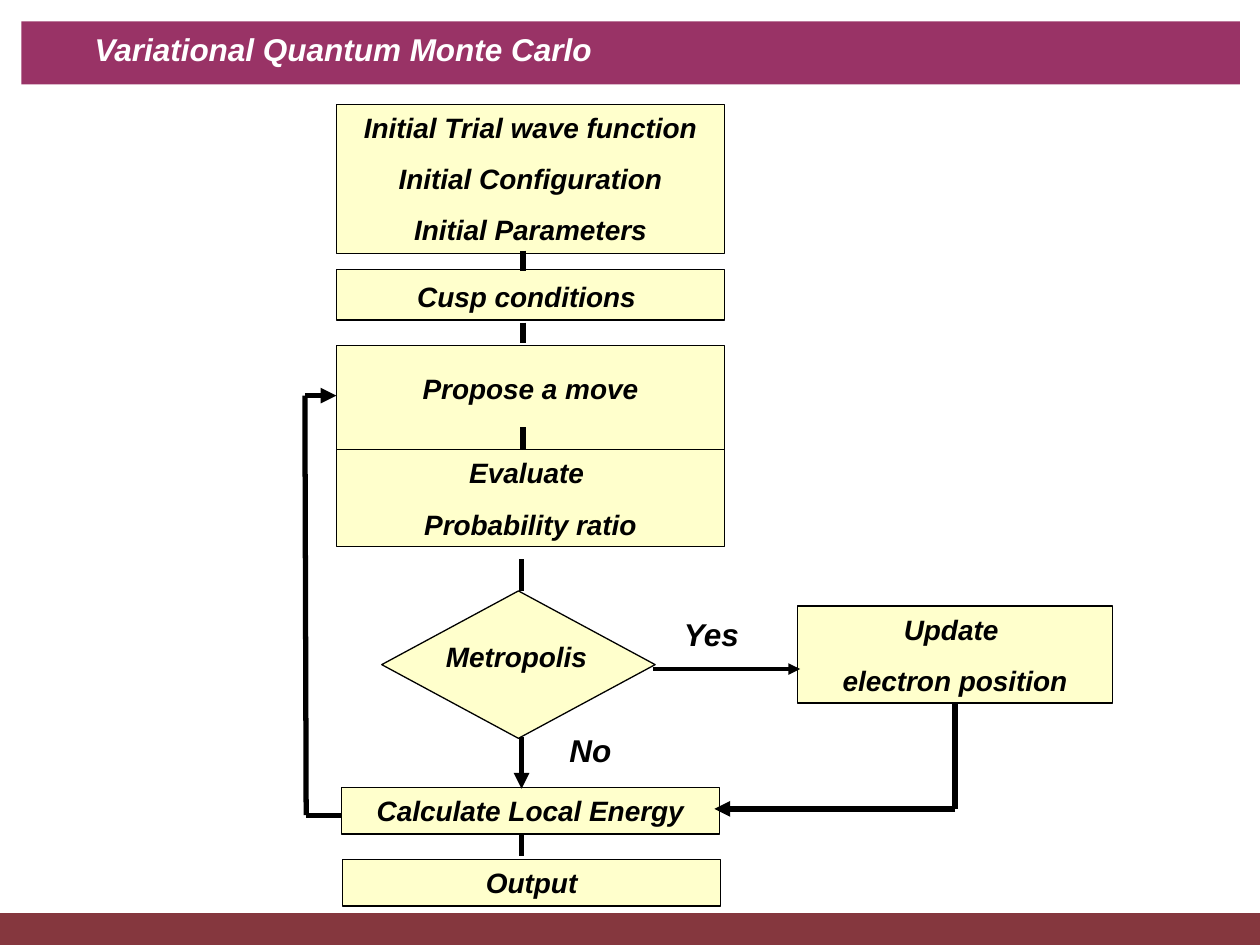
from lxml import etree
from pptx import Presentation
from pptx import util as u
from pptx.dml.color import RGBColor
from pptx.enum import shapes, text
from pptx.oxml.ns import qn

PLUM = RGBColor(0x99, 0x33, 0x66)
BRICK = RGBColor(0x85, 0x37, 0x3E)
CREAM = RGBColor(0xFF, 0xFF, 0xCC)
BLACK = RGBColor(0, 0, 0)
WHITE = RGBColor(0xFF, 0xFF, 0xFF)
LEFT, MID = text.PP_ALIGN.LEFT, text.PP_ALIGN.CENTER
RECT = shapes.MSO_SHAPE.RECTANGLE


class Chart:
    font = "Arial"

    def __init__(self, deck):
        self.slide = deck.slides.add_slide(deck.slide_layouts[5])
        self.shapes = self.slide.shapes

    def letter(self, shape, lines, size, color=BLACK, align=LEFT, top=0.05):
        frame = shape.text_frame
        frame.text = "\n".join(lines)
        frame.word_wrap = True
        frame.auto_size = text.MSO_AUTO_SIZE.NONE
        frame.vertical_anchor = text.MSO_ANCHOR.TOP
        frame.margin_left = frame.margin_right = u.Inches(0.1)
        frame.margin_top, frame.margin_bottom = u.Inches(top), u.Inches(0.05)
        for i, para in enumerate(frame.paragraphs):
            para.alignment = align
            para.line_spacing = 1.0
            para.space_before = u.Pt(10 if i else 0)
            font = para.font
            font.name, font.size = self.font, u.Pt(size)
            font.bold = font.italic = True
            font.color.rgb = color

    def title(self, words, *area):
        shape = self.shapes.title
        shape.left, shape.top, shape.width, shape.height = map(u.Inches, area)
        self.letter(shape, [words], 18, WHITE)
        # Bring the title in front of its band
        self.shapes._spTree.append(shape._element)

    def block(self, area, fill, line=None, kind=RECT):
        shape = self.shapes.add_shape(kind, *map(u.Inches, area))
        shape.shadow.inherit = False
        shape.fill.solid()
        shape.fill.fore_color.rgb = fill
        if line is None:
            shape.line.fill.background()
        else:
            shape.line.color.rgb = line
            shape.line.width = u.Pt(0.75)
        return shape

    def step(self, area, *lines, top=0.05):
        shape = self.block(area, CREAM, BLACK)
        self.letter(shape, lines, 16, align=MID, top=top)
        return shape

    def label(self, area, words, size=18):
        self.letter(self.shapes.add_textbox(*map(u.Inches, area)), [words], size)

    def link(self, start, end, arrow=False, width=3, source=None):
        line = self.shapes.add_connector(
            shapes.MSO_CONNECTOR.STRAIGHT, *map(u.Inches, start + end))
        if source is not None:
            line.begin_connect(source, 2)
        line.line.color.rgb = BLACK
        line.line.width = u.Pt(width)
        if arrow:
            etree.SubElement(line.line._get_or_add_ln(), qn("a:tailEnd"),
                             type="triangle")
        etree.SubElement(line._element.spPr, qn("a:effectLst"))


def main():
    deck = Presentation()
    deck.slide_width, deck.slide_height = u.Inches(10), u.Inches(7.5)
    flow = Chart(deck)

    # Header and footer
    flow.block((0.17, 0.17, 9.67, 0.5), PLUM)
    flow.title("Variational Quantum Monte Carlo", 0.65, 0.19, 5.25, 0.4)
    flow.block((0, 7.25, 10, 0.25), BRICK, BRICK)

    # Loop back to the next move
    flow.link((2.43, 6.47), (2.42, 3.14))
    flow.link((2.42, 3.14), (2.67, 3.14), arrow=True)
    flow.link((2.43, 6.47), (2.76, 6.47))

    # Steps
    flow.step((2.67, 0.83, 3.08, 1.18), "Initial Trial wave function",
              "Initial Configuration", "Initial Parameters")
    flow.step((2.67, 2.14, 3.08, 0.4), "Cusp conditions ", top=0.08)
    flow.step((2.67, 2.74, 3.08, 0.93), "Propose a move", top=0.21)
    flow.step((2.67, 3.57, 3.08, 0.77), "Evaluate ", "Probability ratio")
    flow.step((2.71, 6.25, 3, 0.37), "Calculate Local Energy")
    flow.step((2.72, 6.82, 3, 0.37), "Output")
    update = flow.step((6.33, 4.81, 2.5, 0.77), "Update ", "electron position")

    # Decision
    flow.block((3.03, 4.69, 2.17, 1.17), CREAM, BLACK,
               shapes.MSO_SHAPE.FLOWCHART_DECISION)
    flow.label((3.44, 5.03, 1.92, 0.37), "Metropolis", 16)
    flow.label((5.33, 4.83, 0.75, 0.4), "Yes")
    flow.label((4.42, 5.75, 0.75, 0.4), "No")

    # Short links down the column
    for x, top, end in ((4.15, 1.99, 2.15), (4.15, 2.56, 2.72),
                        (4.15, 3.39, 3.56), (4.14, 4.44, 4.69),
                        (4.14, 6.63, 6.79)):
        flow.link((x, top), (x, end))

    # Branches of the decision
    flow.link((5.18, 5.31), (6.35, 5.31), arrow=True, width=2.25)
    flow.link((4.14, 5.85), (4.14, 6.26), arrow=True)
    flow.link((7.58, 5.58), (7.58, 6.42), source=update)
    flow.link((7.58, 6.42), (5.67, 6.42), arrow=True)

    deck.save("out.pptx")


if __name__ == "__main__":
    main()
